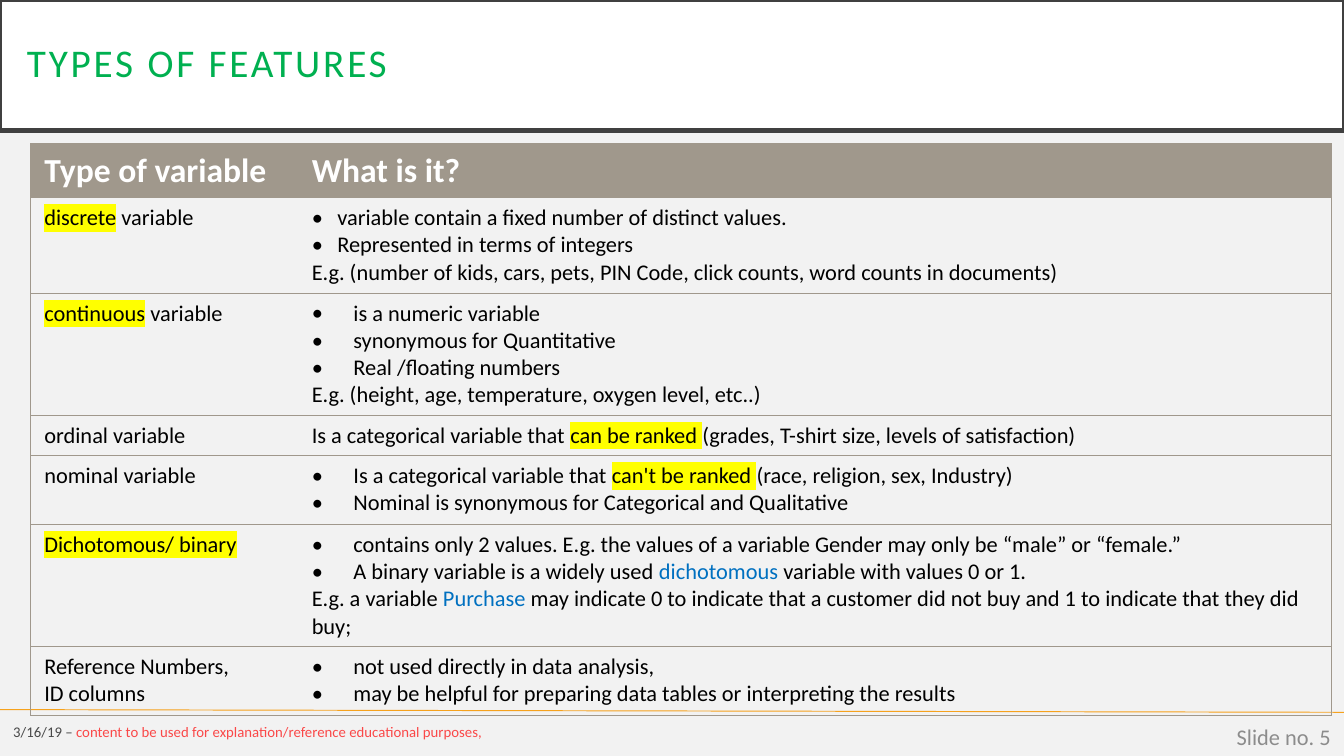
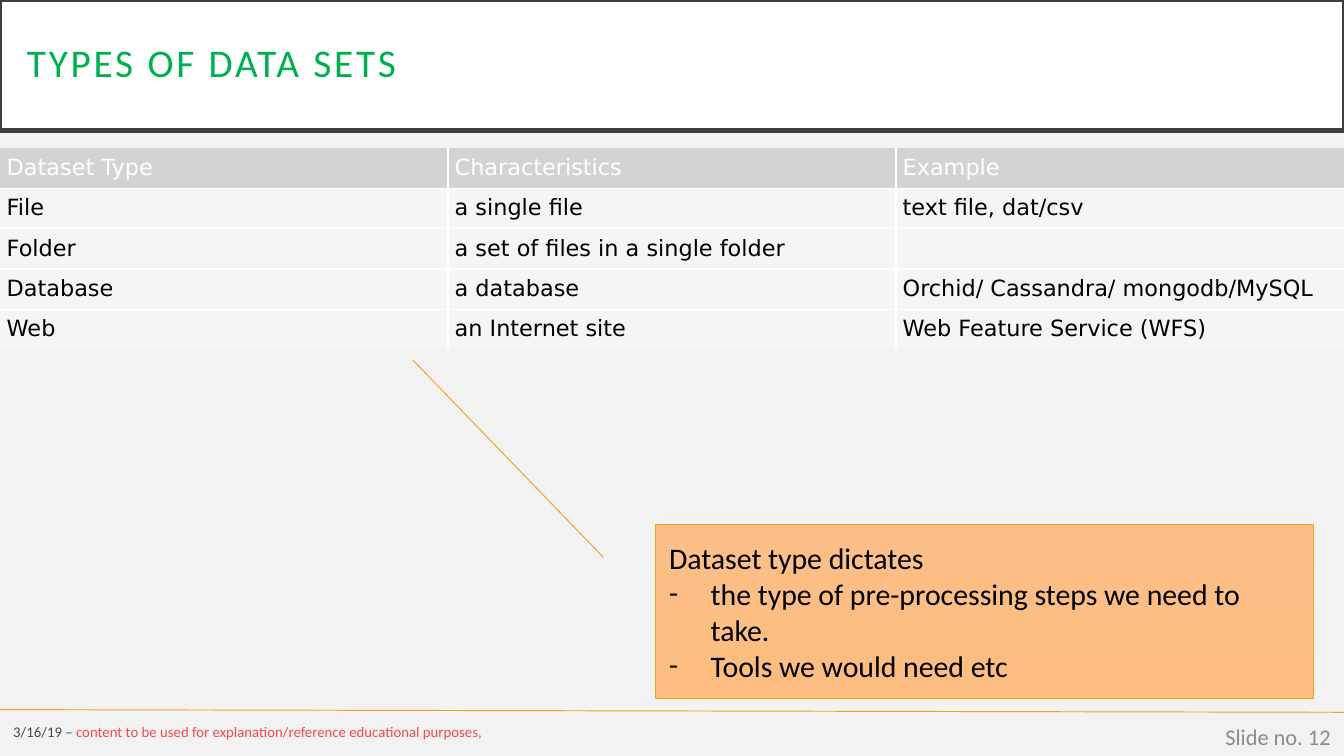
"""Build two slides on feature types and data set types."""
from dataclasses import dataclass
from typing import Any, NamedTuple, Optional

from lxml import etree
from pptx import Presentation
from pptx.dml.color import RGBColor
from pptx.enum.shapes import MSO_CONNECTOR, MSO_SHAPE
from pptx.enum.text import MSO_ANCHOR, MSO_AUTO_SIZE, PP_ALIGN
from pptx.oxml.ns import qn
from pptx.slide import Slide
from pptx.text.text import TextFrame
from pptx.util import Inches, Pt

BACKGROUND = RGBColor(0xF2, 0xF2, 0xF2)
WHITE = RGBColor(0xFF, 0xFF, 0xFF)
BLACK = RGBColor(0x00, 0x00, 0x00)
RED = RGBColor(0xFF, 0x00, 0x00)
GREEN = RGBColor(0x00, 0xB0, 0x50)
BLUE = RGBColor(0x00, 0x70, 0xC0)
YELLOW = RGBColor(0xFF, 0xFF, 0x00)
ORANGE = RGBColor(0xF6, 0xA2, 0x1D)
CALLOUT_TOP = RGBColor(0xFC, 0xBF, 0x87)
CALLOUT_BOTTOM = RGBColor(0xFD, 0xBD, 0x80)
FRAME_GRAY = RGBColor(0x40, 0x40, 0x40)
NUMBER_GRAY = RGBColor(0x8C, 0x8C, 0x8C)
TAUPE = RGBColor(0xA0, 0x98, 0x8C)
HEADER_GRAY = RGBColor(0xD3, 0xD3, 0xD3)
ROW_GRAY = RGBColor(0xF5, 0xF5, 0xF5)

MIDDLE, TOP = MSO_ANCHOR.MIDDLE, MSO_ANCHOR.TOP
LEFT, RIGHT = PP_ALIGN.LEFT, PP_ALIGN.RIGHT
NO_FIT = MSO_AUTO_SIZE.NONE
STRAIGHT = MSO_CONNECTOR.STRAIGHT
LINE_CALLOUT = MSO_SHAPE.LINE_CALLOUT_1

SLIDE_WIDTH = Inches(10)
SLIDE_HEIGHT = SLIDE_WIDTH * 9 // 16
TITLE_ONLY = 5
PLAIN_TABLE = "{2D5ABB26-0587-4C30-8999-92F81FD0307C}"
SANS = "Calibri"
WEB_SANS = "DejaVu Sans"


class Style(NamedTuple):
    """Font of a block of text."""
    size: float
    color: RGBColor = BLACK
    name: str = SANS
    bold: bool = False


@dataclass
class Run:
    """Stretch of text with its own marks."""
    text: str
    color: Optional[RGBColor] = None
    highlight: bool = False
    opacity: int = 100


@dataclass
class Line:
    """Paragraph of runs, with an optional bullet."""
    runs: list[Run]
    bullet: str = ""
    indent: float = 0.31


class Box(NamedTuple):
    """Left, top, width and height in inches."""
    left: float
    top: float
    width: float
    height: float


@dataclass
class TableLook:
    """Measures and colours of a table."""
    box: Box
    columns: list[float]
    rows: list[float]
    header: Style
    body: Style
    header_fill: RGBColor
    body_fill: Optional[RGBColor]
    border: RGBColor
    border_width: float
    frame: bool
    inner_columns: bool
    header_anchor: Any
    margin: Optional[float] = None


def plain(text: str) -> Line:
    """Return an unmarked paragraph."""
    return Line([Run(text)])


def bulleted(*parts: str | Run, bullet: str = "•", indent: float = 0.31) -> Line:
    """Return a bulleted paragraph."""
    return Line(mix(*parts).runs, bullet, indent)


def mix(*parts: str | Run) -> Line:
    """Return a paragraph of plain and marked parts."""
    return Line([part if isinstance(part, Run) else Run(part) for part in parts])


def marked(text: str) -> Run:
    """Return a highlighted run."""
    return Run(text, highlight=True)


def apply_format(target: Any, values: dict[str, Any]) -> None:
    """Set every attribute named in the values."""
    for name, value in values.items():
        setattr(target, name, value)


def emu(box: Box) -> list[int]:
    """Return the box as lengths."""
    return [Inches(value) for value in box]


def write_run(paragraph: Any, part: Run, style: Style, spacing: int = 0) -> None:
    """Add a formatted run to a paragraph."""
    run = paragraph.add_run()
    run.text = part.text
    apply_format(run.font, {"size": Pt(style.size), "bold": style.bold, "name": style.name})
    run.font.color.rgb = part.color or style.color
    properties = run.font._element
    solid = properties.find(qn("a:solidFill"))
    if spacing:
        properties.set("spc", str(spacing))
    if part.opacity < 100:
        etree.SubElement(solid[0], qn("a:alpha"), val=str(part.opacity * 1000))
    if part.highlight:
        highlight = etree.Element(qn("a:highlight"))
        etree.SubElement(highlight, qn("a:srgbClr"), val=str(YELLOW))
        solid.addnext(highlight)


def write_lines(frame: TextFrame, lines: list[Line], style: Style,
                alignment: Any = LEFT, spacing: int = 0) -> None:
    """Fill a text frame with paragraphs."""
    for index, line in enumerate(lines):
        paragraph = frame.add_paragraph() if index else frame.paragraphs[0]
        paragraph.alignment = alignment
        if line.bullet:
            properties = paragraph._p.get_or_add_pPr()
            properties.set("marL", str(Inches(line.indent)))
            properties.set("indent", str(-Inches(line.indent)))
            etree.SubElement(properties, qn("a:buFont"), typeface=style.name)
            etree.SubElement(properties, qn("a:buChar"), char=line.bullet)
        for part in line.runs:
            write_run(paragraph, part, style, spacing)
        if not line.runs:
            etree.SubElement(paragraph._p, qn("a:endParaRPr"), sz=str(style.size * 100))


def add_label(slide: Slide, box: Box, line: Line, style: Style, alignment: Any = LEFT) -> None:
    """Add a text box of one line."""
    frame = slide.shapes.add_textbox(*emu(box)).text_frame
    apply_format(frame, {"word_wrap": True, "vertical_anchor": MIDDLE})
    write_lines(frame, [line], style, alignment)


def add_base_slide(presentation: Any, title: str, number: int) -> Slide:
    """Add a slide with title band, rule and footers."""
    slide = presentation.slides.add_slide(presentation.slide_layouts[TITLE_ONLY])
    band = slide.shapes.title
    apply_format(band, dict(zip(("left", "top", "width", "height"), emu(Box(0, 0, 10, 0.97)))))
    band.fill.solid()
    band.fill.fore_color.rgb = WHITE
    band.line.color.rgb = FRAME_GRAY
    band.line.width = Pt(2.5)
    margins = {f"margin_{side}": Inches(0.2) for side in ("left", "right", "top", "bottom")}
    apply_format(band.text_frame, {"vertical_anchor": MIDDLE, "auto_size": NO_FIT,
                                   "word_wrap": True, **margins})
    write_lines(band.text_frame, [plain(title)], Style(21, GREEN), spacing=150)
    band.text_frame.paragraphs[0].line_spacing = 0.9

    rule = slide.shapes.add_connector(STRAIGHT, Inches(0), Inches(5.28), Inches(10), Inches(5.3))
    rule.line.color.rgb = ORANGE
    rule.line.width = Pt(0.5)
    etree.SubElement(rule._element.spPr, qn("a:effectLst"))

    add_label(slide, Box(7.75, 5.33, 2.25, 0.3), plain(f"Slide no. {number}"),
              Style(12, NUMBER_GRAY), RIGHT)
    notice = mix(Run("3/16/19 – ", opacity=70),
                 Run("content to be used for explanation/reference educational purposes,", RED, opacity=70))
    add_label(slide, Box(0, 5.31, 4.24, 0.27), notice, Style(7.9))
    return slide


def draw_borders(cell: Any, sides: str, look: TableLook) -> None:
    """Draw the cell borders on the given sides."""
    properties = cell._tc.get_or_add_tcPr()
    for side in sides:
        border = etree.SubElement(properties, qn(f"a:ln{side}"), w=str(Pt(look.border_width)))
        solid = etree.SubElement(border, qn("a:solidFill"))
        etree.SubElement(solid, qn("a:srgbClr"), val=str(look.border))


def add_grid(slide: Slide, look: TableLook, content: list[list[list[Line]]]) -> None:
    """Add a table with a header row."""
    last_row, last_column = len(look.rows) - 1, len(look.columns) - 1
    table = slide.shapes.add_table(last_row + 1, last_column + 1, *emu(look.box)).table
    apply_format(table, {"first_row": True, "horz_banding": False})
    table._tbl.tblPr.find(qn("a:tableStyleId")).text = PLAIN_TABLE
    for column, width in zip(table.columns, look.columns):
        column.width = Inches(width)
    for row_index, (row, height) in enumerate(zip(table.rows, look.rows)):
        row.height = Inches(height)
        for column_index, cell in enumerate(row.cells):
            edges = {"L": look.frame if column_index == 0 else look.inner_columns,
                     "R": look.frame if column_index == last_column else look.inner_columns,
                     "T": look.frame or row_index > 0,
                     "B": look.frame or row_index < last_row}
            draw_borders(cell, "".join(side for side, shown in edges.items() if shown), look)
            is_header = row_index == 0
            fill = look.header_fill if is_header else look.body_fill
            if fill is None:
                cell.fill.background()
            else:
                cell.fill.solid()
                cell.fill.fore_color.rgb = fill
            cell.vertical_anchor = look.header_anchor if is_header else TOP
            if look.margin is not None:
                apply_format(cell, {f"margin_{side}": Inches(look.margin)
                                    for side in ("left", "right", "top", "bottom")})
            write_lines(cell.text_frame, content[row_index][column_index],
                        look.header if is_header else look.body)


def add_features_slide(presentation: Any) -> None:
    """Add the slide on types of features."""
    slide = add_base_slide(presentation, "TYPES OF FEATURES", 5)
    look = TableLook(Box(0.23, 1.07, 9.68, 4.25), [1.99, 7.69],
                     [0.4, 0.71, 0.91, 0.3, 0.51, 0.91, 0.51],
                     Style(18, WHITE, bold=True), Style(12), TAUPE, None, TAUPE, 0.5,
                     frame=True, inner_columns=False, header_anchor=TOP)
    add_grid(slide, look, [
        [[plain("Type of variable")], [plain("What is it?")]],
        [[mix(marked("discrete"), " variable")],
         [bulleted("variable contain a fixed number of distinct values.", indent=0.19),
          bulleted("Represented in terms of integers", indent=0.19),
          plain("E.g. (number of kids, cars, pets, PIN Code, click counts, word counts in documents)")]],
        [[mix(marked("continuous"), " variable")],
         [bulleted("is a numeric variable"),
          bulleted("synonymous for Quantitative"),
          bulleted("Real /floating numbers"),
          plain("E.g. (height, age, temperature, oxygen level, etc..)")]],
        [[plain("ordinal variable")],
         [mix("Is a categorical variable that ", marked("can be ranked "),
              "(grades, T-shirt size, levels of satisfaction)")]],
        [[plain("nominal variable")],
         [bulleted("Is a categorical variable that ", marked("can't be ranked "),
                   "(race, religion, sex, Industry)"),
          bulleted("Nominal is synonymous for Categorical and Qualitative")]],
        [[mix(marked("Dichotomous/ binary"))],
         [bulleted("contains only 2 values. E.g. the values of a variable Gender "
                   "may only be “male” or “female.”"),
          bulleted("A binary variable is a widely used ", Run("dichotomous", BLUE),
                   " variable with values 0 or 1."),
          mix("E.g. a variable ", Run("Purchase", BLUE),
              " may indicate 0 to indicate that a customer did not buy "
              "and 1 to indicate that they did buy;")]],
        [[plain("Reference Numbers,"), plain("ID columns")],
         [bulleted("not used directly in data analysis,"),
          bulleted("may be helpful for preparing data tables or interpreting the results")]],
    ])


def add_data_sets_slide(presentation: Any) -> None:
    """Add the slide on types of data sets."""
    slide = add_base_slide(presentation, "TYPES OF DATA SETS", 12)
    data_sets = [("Dataset Type", "Characteristics", "Example"),
                 ("File", "a single file", "text file, dat/csv"),
                 ("Folder", "a set of files in a single folder", ""),
                 ("Database", "a database", "Orchid/ Cassandra/ mongodb/MySQL"),
                 ("Web", "an Internet site", "Web Feature Service (WFS)")]
    look = TableLook(Box(0, 1.1, 10, 1.5), [10 / 3] * 3, [0.3] * len(data_sets),
                     Style(12, WHITE, WEB_SANS), Style(12, BLACK, WEB_SANS),
                     HEADER_GRAY, ROW_GRAY, WHITE, 0.75,
                     frame=False, inner_columns=True, header_anchor=MIDDLE, margin=0.05)
    add_grid(slide, look, [[[plain(text) if text else Line([])] for text in row]
                           for row in data_sets])

    callout = slide.shapes.add_shape(LINE_CALLOUT, *emu(Box(4.88, 3.9, 4.89, 1.3)))
    callout.shadow.inherit = False
    for index, value in enumerate((0.19, -0.08, -0.94, -0.37)):
        callout.adjustments[index] = value
    callout.fill.gradient()
    callout.fill.gradient_angle = 270
    for stop, color in zip(callout.fill.gradient_stops, (CALLOUT_TOP, CALLOUT_BOTTOM)):
        stop.color.rgb = color
    callout.line.color.rgb = ORANGE
    callout.line.width = Pt(0.5)
    apply_format(callout.text_frame, {"word_wrap": True, "vertical_anchor": MIDDLE})
    write_lines(callout.text_frame, [
        plain("Dataset type dictates"),
        bulleted("the type of pre-processing steps we need to take.", bullet="-"),
        bulleted("Tools we would need etc", bullet="-")], Style(16))


def main() -> None:
    """Build and save the presentation."""
    presentation = Presentation()
    apply_format(presentation, {"slide_width": SLIDE_WIDTH, "slide_height": SLIDE_HEIGHT})
    background = presentation.slide_master.background.fill
    background.solid()
    background.fore_color.rgb = BACKGROUND
    add_features_slide(presentation)
    add_data_sets_slide(presentation)
    presentation.save("out.pptx")


if __name__ == "__main__":
    main()
